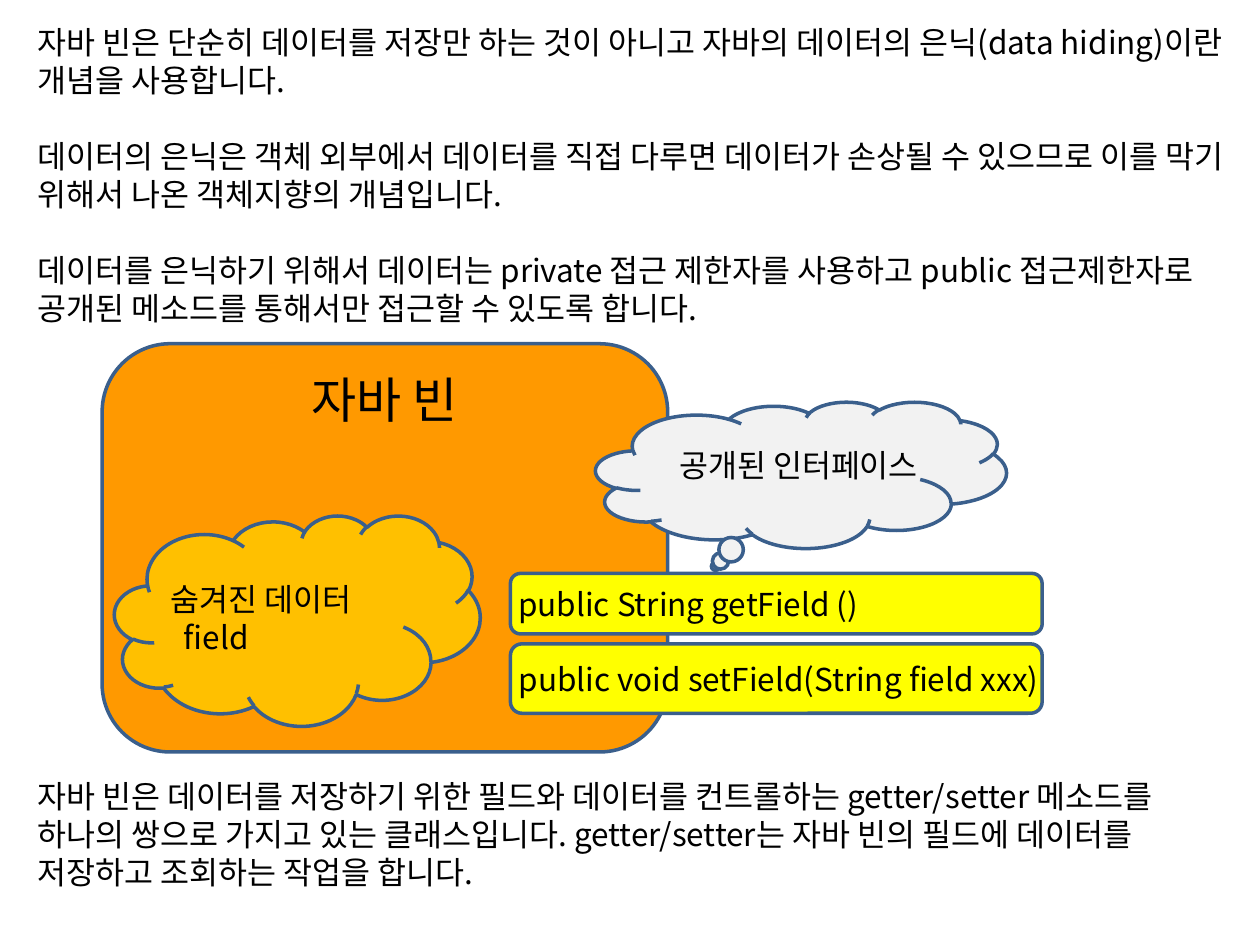
from pptx import Presentation
from pptx.dml.color import RGBColor
from pptx.enum.shapes import MSO_SHAPE as Preset
from pptx.enum.text import MSO_ANCHOR as Anchor, PP_ALIGN as Align
from pptx.oxml.ns import qn
from pptx.util import Cm, Pt

FONT = "Noto Sans CJK KR"
BLACK = RGBColor(0x00, 0x00, 0x00)
BLUE = RGBColor(0x3A, 0x5F, 0x8C)
ORANGE = RGBColor(0xFF, 0x99, 0x00)
AMBER = RGBColor(0xFF, 0xC0, 0x00)
YELLOW = RGBColor(0xFF, 0xFF, 0x00)
GRAY = RGBColor(0xF2, 0xF2, 0xF2)
LINE_PITCH = Pt(21.7)

INTRO = [
    "자바 빈은 단순히 데이터를 저장만 하는 것이 아니고 자바의 데이터의 은닉(data hiding)이란 개념을 사용합니다.",
    "데이터의 은닉은 객체 외부에서 데이터를 직접 다루면 데이터가 손상될 수 있으므로 이를 막기 위해서 나온 객체지향의 개념입니다.",
    "데이터를 은닉하기 위해서 데이터는 private 접근 제한자를 사용하고 public 접근제한자로 공개된 메소드를 통해서만 접근할 수 있도록 합니다.",
]
SUMMARY = [
    "자바 빈은 데이터를 저장하기 위한 필드와 데이터를 컨트롤하는 getter/setter 메소드를 하나의 쌍으로 가지고 있는 클래스입니다. "
    "getter/setter는 자바 빈의 필드에 데이터를 저장하고 조회하는 작업을 합니다.",
]
METHODS = [
    ("public String getField ()", 11.56, 1.22),
    ("public void setField(String field xxx)", 12.98, 1.4),
]

deck = Presentation()
deck.slide_width, deck.slide_height = Cm(25.4), Cm(19.05)
page = deck.slides.add_slide(deck.slide_layouts[6])


def write(frame, lines, size=18, align=Align.LEFT, gap=0, pitch=LINE_PITCH):
    for index, line in enumerate(lines):
        para = frame.add_paragraph() if index else frame.paragraphs[0]
        para.alignment = align
        para.line_spacing = pitch
        para.space_before = gap if index else 0
        span = para.add_run()
        span.text = line
        span.font.size = Pt(size)
        span.font.name = FONT
        span.font.color.rgb = BLACK
        east_asian = span.font.fill._xPr.makeelement(qn("a:ea"), {"typeface": FONT})
        span.font.fill._xPr.find(qn("a:latin")).addnext(east_asian)


def add_shape(preset, place, color):
    shape = page.shapes.add_shape(preset, *map(Cm, place))
    shape.shadow.inherit = False
    shape.fill.solid()
    shape.fill.fore_color.rgb = color
    shape.line.color.rgb = BLUE
    shape.line.width = Pt(2)
    return shape


def add_text(place, lines, gap=0):
    frame = page.shapes.add_textbox(*map(Cm, place)).text_frame
    frame.word_wrap = True
    write(frame, lines, gap=gap)
    return frame


bean = add_shape(Preset.ROUNDED_RECTANGLE, (2.06, 6.93, 11.4, 8.23), ORANGE)
bean.text_frame.vertical_anchor = Anchor.TOP
write(bean.text_frame, ["자바 빈"], size=28, align=Align.CENTER, pitch=Pt(33.7))

add_shape(Preset.CLOUD, (2.31, 10.39, 7.37, 4.24), AMBER)
hidden_data = add_text((3.18, 11.56, 5.59, 1.8), ["숨겨진 데이터", "field"])
field_format = hidden_data.paragraphs[1]._p.get_or_add_pPr()
field_format.set("marL", str(Cm(0.28)))

for signature, top, height in METHODS:
    method = add_shape(Preset.ROUNDED_RECTANGLE, (10.29, top, 10.72, height), YELLOW)
    frame = method.text_frame
    frame.word_wrap = False
    frame.vertical_anchor = Anchor.MIDDLE
    frame.margin_left = frame.margin_right = Cm(0.1)
    write(frame, [signature])

add_shape(Preset.CLOUD_CALLOUT, (12.01, 8.1, 8.28, 2.95), GRAY)
add_text((13.44, 8.86, 6.1, 1.02), ["공개된 인터페이스"])

add_text((0.51, 0.33, 24.41, 6.5), INTRO, gap=LINE_PITCH)
add_text((0.51, 15.54, 24.41, 2.6), SUMMARY)

deck.save("out.pptx")
